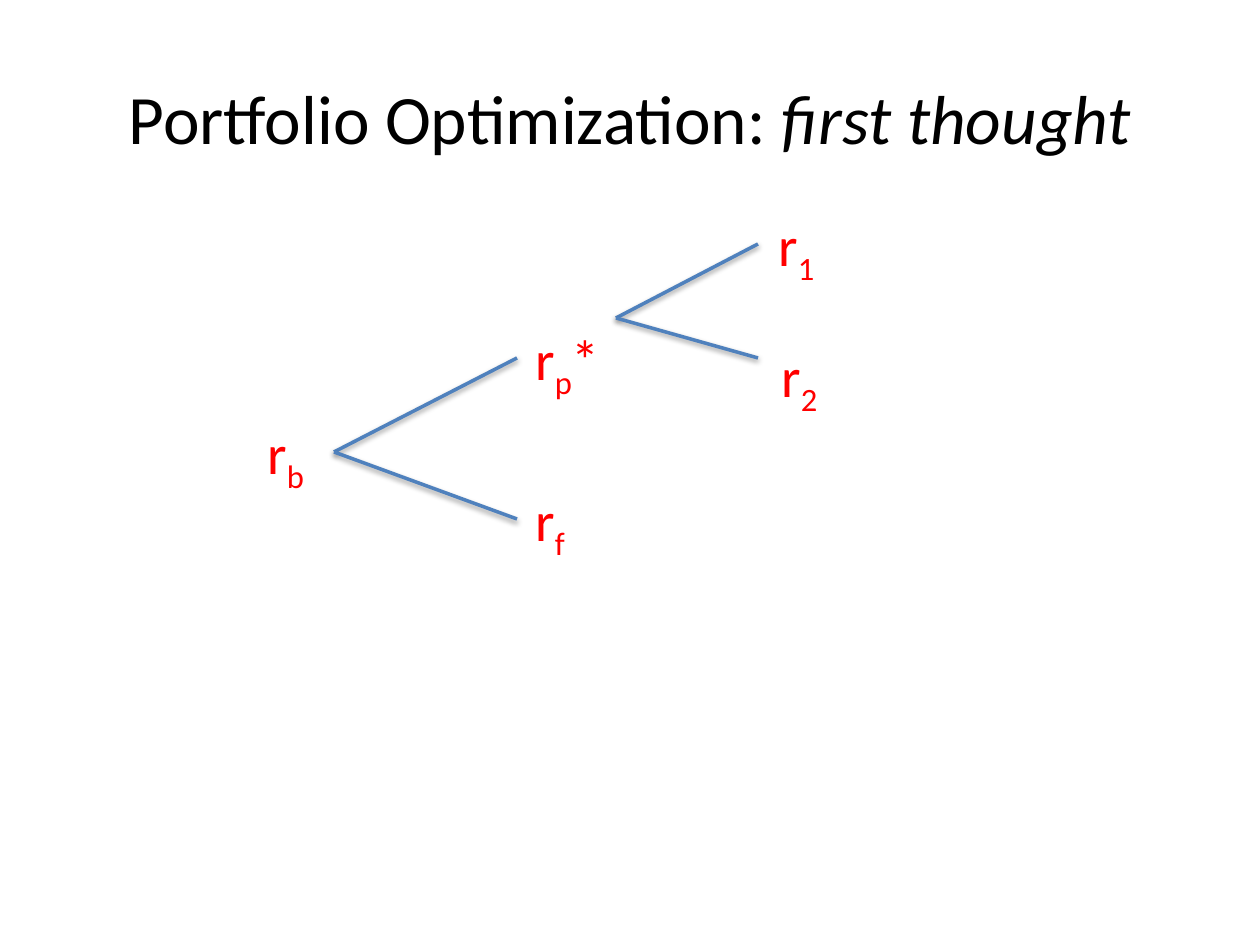
from dataclasses import dataclass

from pptx import Presentation
from pptx.dml.color import RGBColor
from pptx.enum.shapes import MSO_CONNECTOR
from pptx.enum.text import MSO_ANCHOR, MSO_AUTO_SIZE, PP_ALIGN
from pptx.slide import Slide
from pptx.text.text import _Paragraph as Para
from pptx.util import Emu, Pt

STRAIGHT = MSO_CONNECTOR.STRAIGHT
MIDDLE = MSO_ANCHOR.MIDDLE
FIXED = MSO_AUTO_SIZE.NONE
CENTER = PP_ALIGN.CENTER

BLACK = RGBColor(0x00, 0x00, 0x00)
RED = RGBColor(0xFF, 0x00, 0x00)
BLUE = RGBColor(0x4F, 0x81, 0xBD)
FACE = "Calibri"
SCALE = 914400 / 126


@dataclass
class Label:
    left: int
    top: int
    width: int
    sub: str
    mark: str = ""
    height: int = 81


@dataclass
class Fork:
    root: tuple[int, int]
    tips: list[tuple[int, int]]


LABELS = [
    Label(255, 412, 66, "b"),
    Label(523, 318, 93, "p", "*"),
    Label(523, 479, 57, "f"),
    Label(766, 204, 64, "1"),
    Label(769, 335, 64, "2", height=126),
]
FORKS = [
    Fork((334, 452), [(517, 358), (517, 519)]),
    Fork((616, 318), [(758, 244), (758, 358)]),
]


def px(count: int) -> Emu:
    return Emu(round(count * SCALE))


def set_font(para: Para, size: float, color: RGBColor) -> None:
    para.font.name = FACE
    para.font.size = Pt(size)
    para.font.color.rgb = color


def add_run(para: Para, text: str, base: int = 0) -> None:
    run = para.add_run()
    run.text = text
    if base:
        run._r.get_or_add_rPr().set("baseline", str(base * 1000))


def draw_title(slide: Slide) -> None:
    title = slide.shapes.title
    title.left, title.top = px(63), px(38)
    title.width, title.height = px(1134), px(158)
    frame = title.text_frame
    frame.auto_size = FIXED
    frame.vertical_anchor = MIDDLE
    para = frame.paragraphs[0]
    para.alignment = CENTER
    set_font(para, 39.6, BLACK)
    add_run(para, "Portfolio Optimization: ")
    add_run(para, "first thought")
    para.runs[-1].font.italic = True


def draw_fork(slide: Slide, fork: Fork) -> None:
    for tip in fork.tips:
        ends = [px(value) for value in (*fork.root, *tip)]
        branch = slide.shapes.add_connector(STRAIGHT, *ends)
        branch.line.color.rgb = BLUE
        branch.line.width = Pt(2)


def draw_label(slide: Slide, label: Label) -> None:
    box = slide.shapes.add_textbox(
        px(label.left), px(label.top), px(label.width), px(label.height)
    )
    frame = box.text_frame
    frame.word_wrap = False
    frame.auto_size = FIXED
    para = frame.paragraphs[0]
    set_font(para, 32, RED)
    add_run(para, "r")
    add_run(para, label.sub, -25)
    if label.mark:
        add_run(para, label.mark)


def main() -> None:
    deck = Presentation()
    deck.slide_width, deck.slide_height = px(1260), px(945)
    slide = deck.slides.add_slide(deck.slide_layouts[5])
    draw_title(slide)
    for fork in FORKS:
        draw_fork(slide, fork)
    for label in LABELS:
        draw_label(slide, label)
    deck.save("out.pptx")


if __name__ == "__main__":
    main()
